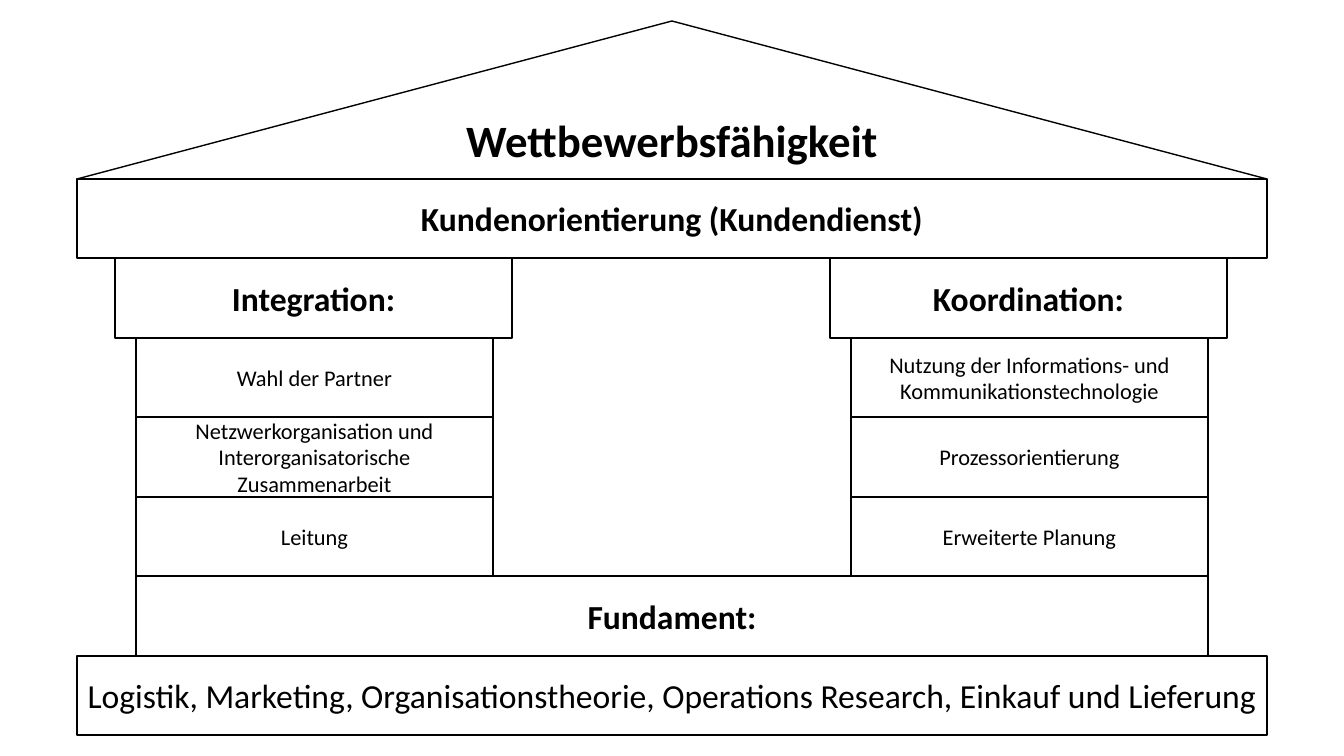
from pptx import Presentation
from pptx import util as u
from pptx.dml.color import RGBColor
from pptx.enum import shapes, text

BLACK = "000000"
WIDE, HIGH = 1344, 756
LEFT, SPAN = 77, 1190
ROOF, BASE = 179, 735
ROWS = 7


def color(code):
    """Turn a hex string into a colour."""
    return RGBColor.from_string(code)


def px(num):
    """Turn picture pixels into EMU."""
    return u.Emu(round(num * 914400 / 100.8))


def top(row):
    """Give the upper edge of a storey."""
    return ROOF + round(row * (BASE - ROOF) / ROWS)


def put(item, **vals):
    """Set attributes from format values."""
    for key, val in vals.items():
        setattr(item, key, val)


class House:
    """Holds the style and the current slide."""

    def __init__(self, deck):
        """Add a blank slide to the deck."""
        self.slide = deck.slides.add_slide(deck.slide_layouts[6])
        self.font = {"name": "Calibri"}
        self.frame = {"word_wrap": True,
                      "vertical_anchor": text.MSO_ANCHOR.MIDDLE,
                      "margin_left": px(8), "margin_right": px(8)}

    def block(self, label, left, y, width, high, size, bold=False,
              kind=shapes.MSO_SHAPE.RECTANGLE):
        """Draw one outlined part with its label."""
        part = self.slide.shapes.add_shape(
            kind, px(left), px(y), px(width), px(high))
        part.shadow.inherit = False
        part.fill.background()
        part.line.color.rgb = color(BLACK)
        part.line.width = u.Pt(1)
        put(part.text_frame, **self.frame)
        para = part.text_frame.paragraphs[0]
        para.alignment = text.PP_ALIGN.CENTER
        run = para.add_run()
        run.text = label
        put(run.font, size=u.Pt(size), bold=bold, **self.font)
        run.font.color.rgb = color(BLACK)

    def storey(self, label, row, left, width, size=24, bold=True):
        """Draw a block that fills one storey."""
        self.block(label, left, top(row), width, top(row + 1) - top(row),
                   size, bold)

    def pillar(self, left, head, parts):
        """Draw a capital and the blocks below it."""
        self.storey(head, 1, left - 21, 397)
        for row, part in enumerate(parts, 2):
            self.storey(part, row, left, 357, 16, False)


deck = Presentation()
put(deck, slide_width=px(WIDE), slide_height=px(HIGH))
house = House(deck)
house.storey("Logistik, Marketing, Organisationstheorie, Operations Research, "
             "Einkauf und Lieferung", 6, LEFT, SPAN, bold=False)
house.storey("Fundament:", 5, 136, 1072)
house.pillar(136, "Integration:", [
    "Wahl der Partner",
    "Netzwerkorganisation und Interorganisatorische Zusammenarbeit",
    "Leitung"])
house.pillar(851, "Koordination:", [
    "Nutzung der Informations- und Kommunikationstechnologie",
    "Prozessorientierung",
    "Erweiterte Planung"])
house.block("Wettbewerbsfähigkeit", LEFT, 21, SPAN, ROOF - 21, 32, True,
            shapes.MSO_SHAPE.ISOSCELES_TRIANGLE)
house.storey("Kundenorientierung (Kundendienst)", 0, LEFT, SPAN)
deck.save("out.pptx")
